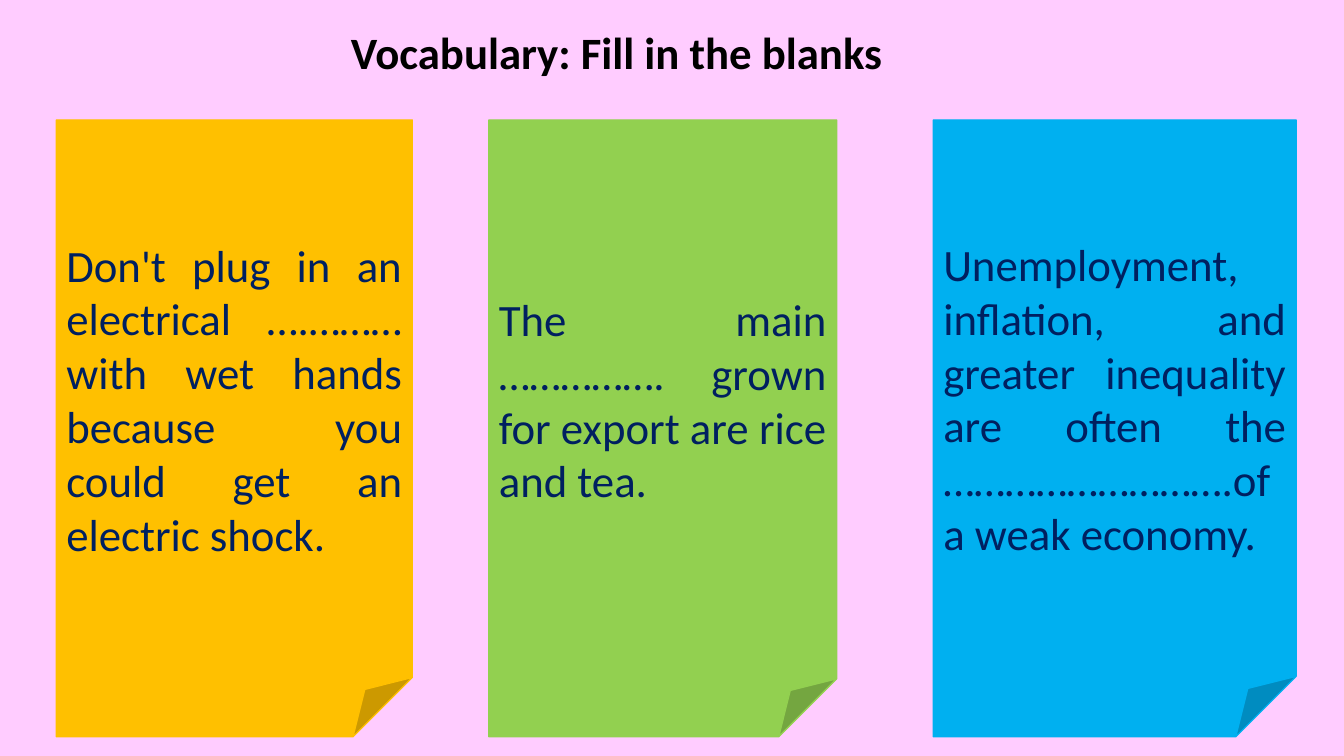
import dataclasses

import pptx
import pptx.dml.color
import pptx.enum.shapes
import pptx.enum.text
import pptx.util

Pt = pptx.util.Pt
RGB = pptx.dml.color.RGBColor.from_string
ALIGN = pptx.enum.text.PP_ALIGN
ANCHOR = pptx.enum.text.MSO_ANCHOR


@dataclasses.dataclass(frozen=True)
class Theme:
    background: str = "FFCCFF"
    heading: str = "000000"
    sentence: str = "002060"
    amber: str = "FFC000"
    green: str = "92D050"
    blue: str = "00B0F0"
    font: str = "Calibri"
    size: int = 32


THEME = Theme()
NOTE_TOP, NOTE_HEIGHT = 85.7, 440.6

# left, width, colour, sentence
NOTES = [
    (40.3, 254.2, THEME.amber,
     "Don't plug in an electrical ….……… with wet hands "
     "because you could get an electric shock."),
    (349.2, 248.4, THEME.green,
     "The main ……………. grown for export are rice and tea."),
    (666.7, 259.2, THEME.blue,
     "Unemployment, inflation, and greater inequality are often the "
     "……………………….of a weak economy."),
]


def apply(target, formats):
    """Set each named attribute of target."""
    for name, value in formats.items():
        setattr(target, name, value)


def write(frame, text, color, align, bold=False):
    frame.text = text
    paragraph = frame.paragraphs[0]
    paragraph.alignment = align
    font = paragraph.runs[0].font
    apply(font, {"name": THEME.font, "size": Pt(THEME.size), "bold": bold})
    font.color.rgb = RGB(color)


def set_heading(slide, text):
    heading = slide.shapes.title
    apply(heading, {"left": Pt(243.4), "top": Pt(13.7),
                    "width": Pt(397.4), "height": Pt(46)})
    apply(heading.text_frame, {
        "word_wrap": False,
        "vertical_anchor": ANCHOR.TOP,
        "auto_size": pptx.enum.text.MSO_AUTO_SIZE.SHAPE_TO_FIT_TEXT,
    })
    write(heading.text_frame, text, THEME.heading, ALIGN.LEFT, bold=True)


def add_note(slide, left, width, color, sentence):
    note = slide.shapes.add_shape(
        pptx.enum.shapes.MSO_SHAPE.FOLDED_CORNER,
        Pt(left), Pt(NOTE_TOP), Pt(width), Pt(NOTE_HEIGHT))
    note.shadow.inherit = False
    note.fill.solid()
    note.fill.fore_color.rgb = RGB(color)
    note.line.color.rgb = RGB(color)
    note.line.width = Pt(1)
    apply(note.text_frame, {"word_wrap": True, "vertical_anchor": ANCHOR.MIDDLE})
    write(note.text_frame, sentence, THEME.sentence, ALIGN.JUSTIFY)


def main():
    deck = pptx.Presentation()
    apply(deck, {"slide_width": Pt(960), "slide_height": Pt(540)})
    title_only = deck.slide_layouts.get_by_name("Title Only")
    slide = deck.slides.add_slide(title_only)
    slide.background.fill.solid()
    slide.background.fill.fore_color.rgb = RGB(THEME.background)
    set_heading(slide, "Vocabulary: Fill in the blanks")
    for note in NOTES:
        add_note(slide, *note)
    deck.save("out.pptx")


if __name__ == "__main__":
    main()
